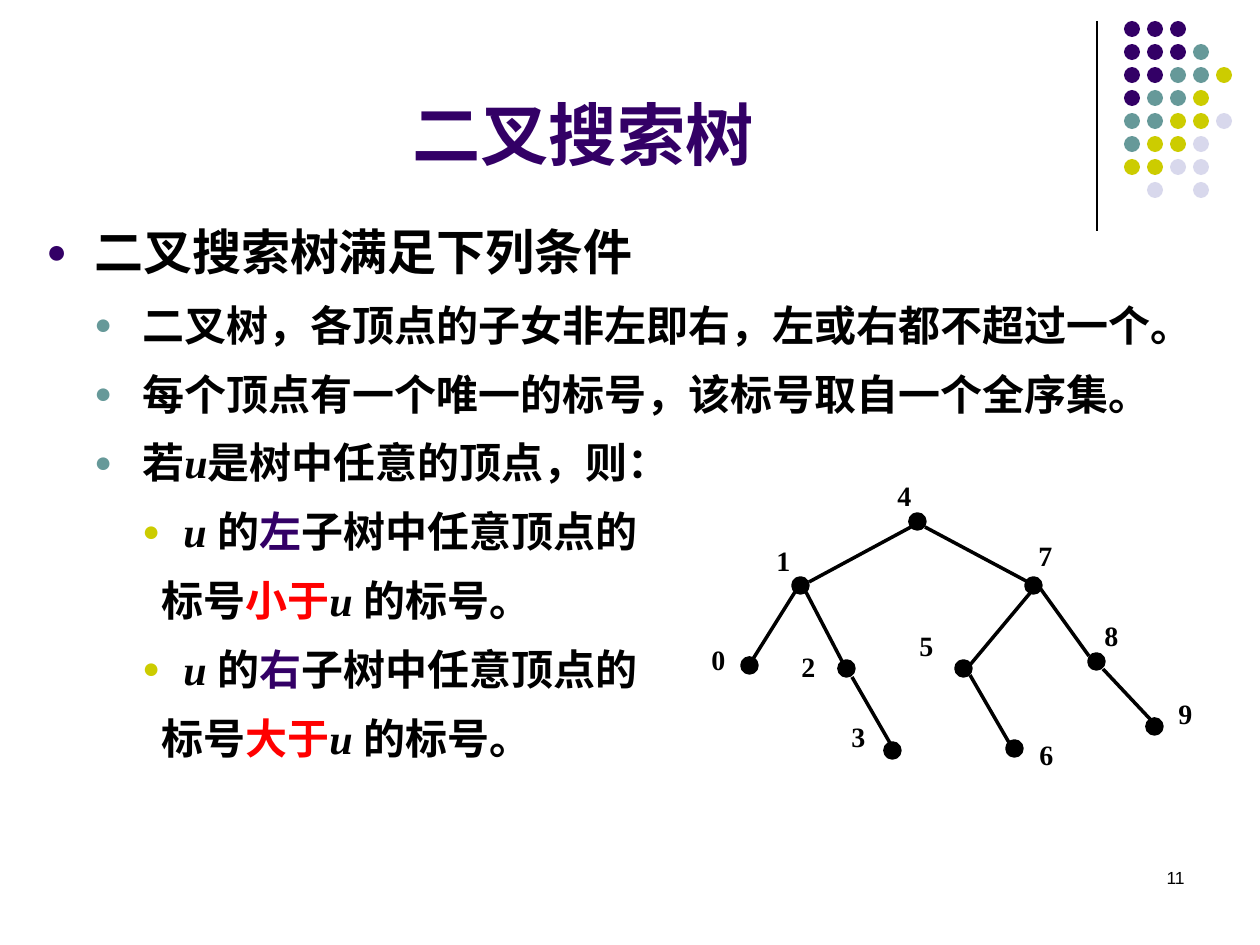
"""Build the slide on binary search trees."""
from pptx import Presentation
from pptx.dml.color import RGBColor
from pptx.enum.shapes import MSO_CONNECTOR as Link, MSO_SHAPE as Form
from pptx.enum.text import MSO_ANCHOR as Anchor, MSO_AUTO_SIZE as Fit, PP_ALIGN as Align
from pptx.oxml.ns import qn
from pptx.util import Pt
from lxml.etree import SubElement

INK = {"plum": "330066", "teal": "669999", "lime": "CCCC00",
       "pale": "D8D8EC", "red": "FF0000", "black": "000000"}
SANS, SERIF = "Arial", "Times New Roman"
TITLE = "二叉搜索树"

LEVELS = {
    "main": (0, 48, -48, 28, "plum"),
    "rule": (1, 96, -48, 24, "teal"),
    "case": (2, 137, -41, 24, "lime"),
    "more": (2, 137, -22, 24, None),
}
BODY = [
    ("main", [("二叉搜索树满足下列条件", "")]),
    ("rule", [("二叉树，各顶点的子女非左即右，左或右都不超过一个。", "")]),
    ("rule", [("每个顶点有一个唯一的标号，该标号取自一个全序集。", "")]),
    ("rule", [("若", ""), ("u", "var"), ("是树中任意的顶点，则：", "")]),
    ("case", [("u ", "var"), ("的", ""), ("左", "plum"), ("子树中任意顶点的", "")]),
    ("more", [("标号", ""), ("小于", "red"), ("u ", "var"), ("的标号。", "")]),
    ("case", [("u ", "var"), ("的", ""), ("右", "plum"), ("子树中任意顶点的", "")]),
    ("more", [("标号", ""), ("大于", "red"), ("u ", "var"), ("的标号。", "")]),
]

DOTS = ["PPP", "PPPT", "PPTTL", "PTTL", "TTLLW", "TLLW", "LLWW", " W W"]
DOT_INK = {"P": "plum", "T": "teal", "L": "lime", "W": "pale"}

NODES = [
    ("4", (910, 514), (885, 472)), ("1", (793, 578), (764, 537)),
    ("7", (1026, 578), (1026, 532)), ("0", (742, 658), (699, 636)),
    ("2", (839, 661), (789, 643)), ("5", (956, 661), (907, 622)),
    ("8", (1089, 654), (1092, 612)), ("3", (885, 743), (839, 713)),
    ("6", (1007, 741), (1027, 731)), ("9", (1147, 719), (1166, 690)),
]
EDGES = [
    (911, 527, 809, 582), (925, 527, 1028, 582), (795, 592, 753, 659),
    (806, 592, 843, 663), (1031, 592, 970, 665), (1040, 588, 1089, 656),
    (852, 677, 890, 743), (970, 675, 1011, 746), (1103, 669, 1150, 719),
]


def px(*nums):
    return [round(n * 914400 / 126) for n in nums]


def tint(name):
    return RGBColor.from_string(INK[name])


def style(font, face, size, ink="black", bold=True):
    font.name, font.size, font.bold = face, Pt(size), bold
    font.color.rgb = tint(ink)


def line(slide, ends, width):
    rule = slide.shapes.add_connector(Link.STRAIGHT, *px(*ends))
    rule.line.color.rgb = tint("black")
    rule.line.width = Pt(width)
    SubElement(rule._element.spPr, qn("a:effectLst"))


def dot(slide, x, y, size, ink, edge=0):
    disc = slide.shapes.add_shape(Form.OVAL, *px(x, y, size, size))
    disc.shadow.inherit = False
    disc.fill.solid()
    disc.fill.fore_color.rgb = tint(ink)
    if edge:
        disc.line.color.rgb = tint(ink)
        disc.line.width = Pt(edge)
    else:
        disc.line.fill.background()


def box(slide, *place):
    frame = slide.shapes.add_textbox(*px(*place)).text_frame
    frame.word_wrap = True
    return frame


def label(slide, text, place, align, *look):
    para = box(slide, *place).paragraphs[0]
    para.text, para.alignment = text, align
    style(para.font, *look)


def bullet(para, ink):
    props = para._p.get_or_add_pPr()
    if ink is None:
        SubElement(props, qn("a:buNone"))
        return
    hue = SubElement(props, qn("a:buClr"))
    SubElement(hue, qn("a:srgbClr"), val=INK[ink])
    SubElement(props, qn("a:buSzPct"), val="70000")
    SubElement(props, qn("a:buFont"), typeface=SANS)
    SubElement(props, qn("a:buChar"), char="●")


def head(slide):
    title = slide.shapes.title
    title.left, title.top, title.width, title.height = px(63, 16, 1040, 164)
    frame = title.text_frame
    frame.text = TITLE
    frame.auto_size, frame.vertical_anchor = Fit.NONE, Anchor.BOTTOM
    para = frame.paragraphs[0]
    para.alignment = Align.CENTER
    style(para.font, SANS, 39, "plum")


def body(slide):
    frame = box(slide, 34, 204, 1160, 596)
    frame.margin_right = 0
    for i, (kind, runs) in enumerate(BODY):
        level, left, hang, size, ink = LEVELS[kind]
        para = frame.add_paragraph() if i else frame.paragraphs[0]
        para.level = level
        para.line_spacing = 1.2
        para.space_before = Pt(4.8 if i else 0)
        props = para._p.get_or_add_pPr()
        props.set("marL", str(px(left)[0]))
        props.set("indent", str(px(hang)[0]))
        bullet(para, ink)
        for text, mark in runs:
            run = para.add_run()
            run.text = text
            style(run.font, SERIF, size, mark if mark in INK else "black")
            run.font.italic = mark == "var"


def main():
    deck = Presentation()
    deck.slide_width, deck.slide_height = px(1260, 945)
    slide = deck.slides.add_slide(deck.slide_layouts[5])
    line(slide, (1097, 21, 1097, 231), 0.75)
    for row, marks in enumerate(DOTS):
        for col, mark in enumerate(marks):
            if mark in DOT_INK:
                dot(slide, 1124 + 23 * col, 21 + 23 * row, 16, DOT_INK[mark])
    head(slide)
    body(slide)
    for ends in EDGES:
        line(slide, ends, 2)
    for key, spot, tag in NODES:
        dot(slide, *spot, 15, "black", 2)
        label(slide, key, (*tag, 74, 64), Align.JUSTIFY, SERIF, 16)
    label(slide, "11", (903, 861, 294, 63), Align.RIGHT, SANS, 10, "black", False)
    deck.save("out.pptx")


if __name__ == "__main__":
    main()
